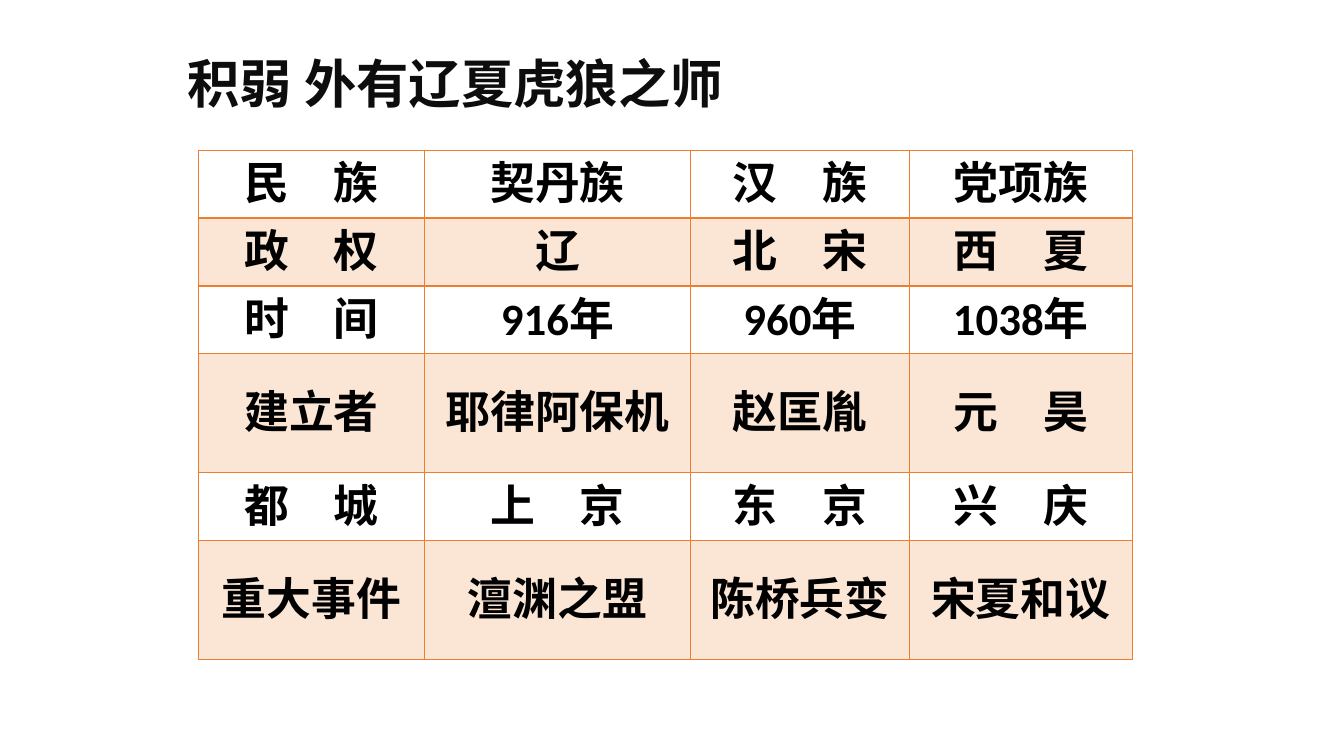
"""Build a slide with a table comparing the Liao, Northern Song and Western Xia."""
from dataclasses import dataclass

from lxml import etree
from pptx import Presentation
from pptx.dml.color import RGBColor
from pptx.enum.text import MSO_ANCHOR, MSO_AUTO_SIZE, PP_ALIGN
from pptx.oxml.ns import qn
from pptx.util import Inches, Pt

CENTER = PP_ALIGN.CENTER
MIDDLE = MSO_ANCHOR.MIDDLE
GROW = MSO_AUTO_SIZE.SHAPE_TO_FIT_TEXT

BLACK = RGBColor(0x00, 0x00, 0x00)
INK = RGBColor(0x0D, 0x0D, 0x0D)
ORANGE = RGBColor(0xED, 0x7D, 0x31)
BAND_OPACITY = 20

TITLE_FONT = "Noto Sans CJK SC"
TABLE_FONT = "Calibri"
COLUMN_WIDTHS = (2.24, 2.64, 2.17, 2.21)


@dataclass(frozen=True)
class Row:
    """Hold the texts and height of one table row."""
    texts: tuple[str, ...]
    height: float = 0.67


ROWS = (
    Row(("民　族", "契丹族", "汉　族", "党项族")),
    Row(("政　权", "辽", "北　宋", "西　夏")),
    Row(("时　间", "916年", "960年", "1038年")),
    Row(("建立者", "耶律阿保机", "赵匡胤", "元　昊"), 1.18),
    Row(("都　城", "上　京", "东　京", "兴　庆")),
    Row(("重大事件", "澶渊之盟", "陈桥兵变", "宋夏和议"), 1.18),
)


def write_text(frame, text: str, *, size: float, font: str, color: RGBColor) -> None:
    """Write one bold centred paragraph into a text frame."""
    para = frame.paragraphs[0]
    para.alignment = CENTER
    span = para.add_run()
    span.text = text
    span.font.size = Pt(size)
    span.font.bold = True
    span.font.color.rgb = color
    span.font.name = font
    etree.SubElement(span.font._element, qn("a:ea"), typeface=font)


def set_margins(target, horizontal: float, vertical: float) -> None:
    """Set equal side margins and equal top and bottom margins."""
    target.margin_left = target.margin_right = Inches(horizontal)
    target.margin_top = target.margin_bottom = Inches(vertical)


def set_border(cell, side: str, width: float) -> None:
    """Draw an orange line on one side of a cell."""
    properties = cell._tc.get_or_add_tcPr()
    line = etree.SubElement(properties, qn(f"a:ln{side}"), w=str(Pt(width)))
    fill = etree.SubElement(line, qn("a:solidFill"))
    etree.SubElement(fill, qn("a:srgbClr"), val=str(ORANGE))


def fill_band(cell) -> None:
    """Fill a cell with translucent orange."""
    cell.fill.solid()
    cell.fill.fore_color.rgb = ORANGE
    color = cell._tc.tcPr.find(qn("a:solidFill")).find(qn("a:srgbClr"))
    etree.SubElement(color, qn("a:alpha"), val=str(BAND_OPACITY * 1000))


def add_title(page) -> None:
    """Add the slide title."""
    box = page.shapes.add_textbox(Inches(1.4), Inches(0.43), Inches(6.24), Inches(0.8))
    frame = box.text_frame
    frame.word_wrap = True
    frame.auto_size = GROW
    set_margins(frame, 0.17, 0.08)
    write_text(frame, "积弱 外有辽夏虎狼之师", size=37.4, font=TITLE_FONT, color=INK)


def add_comparison(page) -> None:
    """Add the table of the three states."""
    table = page.shapes.add_table(
        len(ROWS), len(COLUMN_WIDTHS), Inches(1.97), Inches(1.49),
        Inches(sum(COLUMN_WIDTHS)), Inches(sum(row.height for row in ROWS)),
    ).table
    table.first_row = table.horz_banding = False
    for column, width in zip(table.columns, COLUMN_WIDTHS):
        column.width = Inches(width)
    for row_index, row in enumerate(ROWS):
        table.rows[row_index].height = Inches(row.height)
        for column_index, text in enumerate(row.texts):
            cell = table.cell(row_index, column_index)
            cell.vertical_anchor = MIDDLE
            set_margins(cell, 0.13, 0.07)
            write_text(cell.text_frame, text, size=32, font=TABLE_FONT, color=BLACK)
            for side in "LRTB":
                header_edge = (row_index, side) in ((0, "B"), (1, "T"))
                set_border(cell, side, 2 if header_edge else 1)
            if row_index % 2:
                fill_band(cell)
            else:
                cell.fill.background()


def main() -> None:
    """Build and save the deck."""
    deck = Presentation()
    deck.slide_width = Inches(13.33)
    deck.slide_height = Inches(7.5)
    page = deck.slides.add_slide(deck.slide_layouts[6])
    add_title(page)
    add_comparison(page)
    deck.save("out.pptx")


if __name__ == "__main__":
    main()
